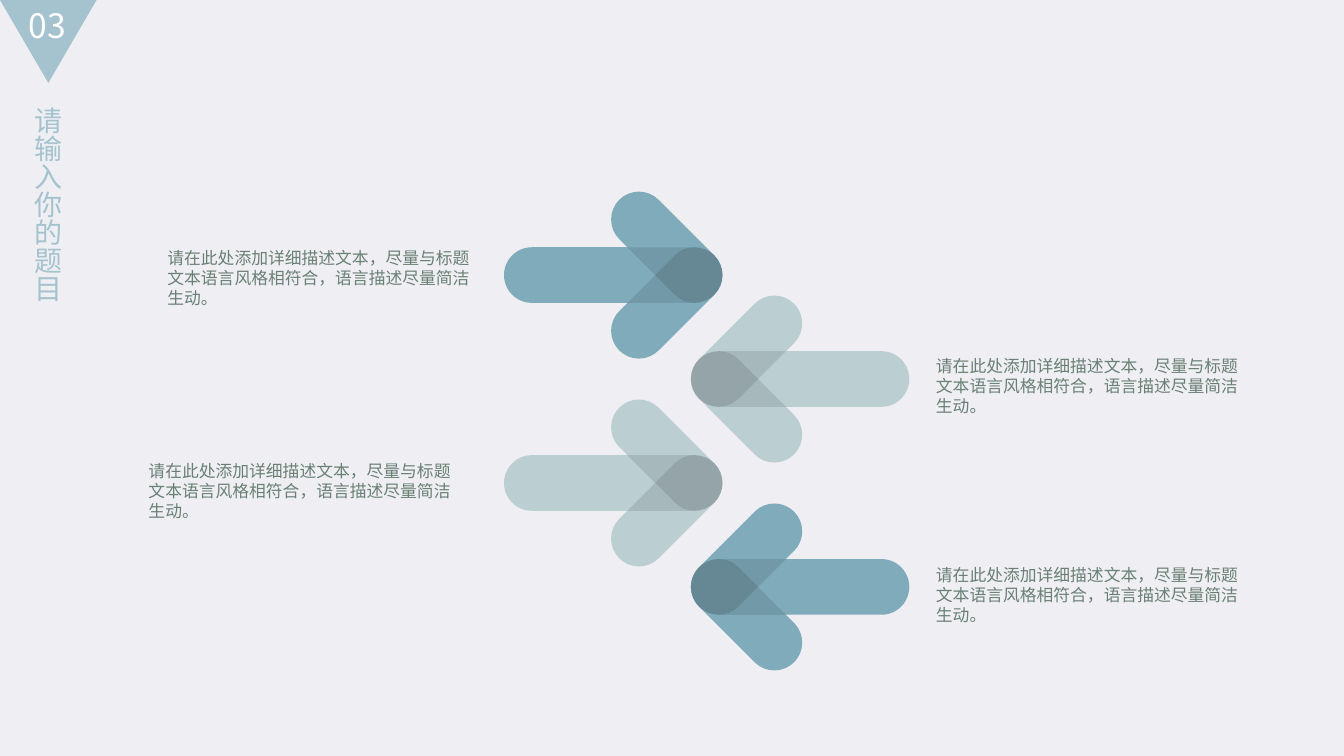
"""Build a slide with four interlocking arrows, each with a description."""
from dataclasses import dataclass
from math import cos, radians, sin, sqrt, tan

from lxml.etree import SubElement
from pptx import Presentation
from pptx.dml.color import RGBColor
from pptx.enum.shapes import MSO_SHAPE as Preset
from pptx.enum.text import MSO_ANCHOR as Anchor
from pptx.enum.text import MSO_AUTO_SIZE as AutoSize
from pptx.enum.text import PP_ALIGN as Align
from pptx.oxml.ns import qn
from pptx.shapes.base import BaseShape
from pptx.shapes.group import GroupShape
from pptx.slide import Slide
from pptx.text.text import TextFrame
from pptx.util import Pt

EMU_PER_PX = 9525
RADIUS = 26.5
BAR_LENGTH = 208
ARM_REACH = 53
NOTCH = -RADIUS * (1 + sqrt(2))
ARROW_STEP = 99
DESCRIPTION = "请在此处添加详细描述文本，尽量与标题文本语言风格相符合，语言描述尽量简洁生动。"

Point = tuple[float, float]


@dataclass(frozen=True)
class Theme:
    background: str = "EEEEF3"
    heading: str = "A5C3CE"
    number: str = "FFFFFF"
    body: str = "6A8074"
    deep: str = "80ABBA"
    pale: str = "BBCED2"
    shade: str = "000000"
    font: str = "Noto Sans CJK SC"
    number_size: int = 24
    heading_size: int = 20
    body_size: int = 12


@dataclass(frozen=True)
class Arrow:
    tip: int
    direction: int
    color: str
    text_left: int
    text_top: int


@dataclass(frozen=True)
class Node:
    at: Point
    controls: tuple[Point, ...] = ()


THEME = Theme()
ARROWS = [
    Arrow(688, 1, THEME.deep, 150, 231),
    Arrow(658, -1, THEME.pale, 882, 334),
    Arrow(688, 1, THEME.pale, 132, 434),
    Arrow(658, -1, THEME.deep, 882, 533),
]


def px(value: float) -> int:
    return round(value * EMU_PER_PX)


def paint(shape: BaseShape, color: str, opacity: int = 100) -> None:
    shape.shadow.inherit = False
    shape.fill.solid()
    shape.fill.fore_color.rgb = RGBColor.from_string(color)
    shape.line.fill.background()
    if opacity < 100:
        tint = shape.fill._xPr.find(qn("a:solidFill"))[0]
        SubElement(tint, qn("a:alpha"), val=str(opacity * 1000))


def write(frame: TextFrame, text: str, size: int, color: str) -> None:
    frame.text = text
    paragraph = frame.paragraphs[0]
    paragraph.alignment = Align.LEFT
    paragraph.font.size = Pt(size)
    paragraph.font.name = THEME.font
    paragraph.font.color.rgb = RGBColor.from_string(color)
    defaults = paragraph._p.pPr.find(qn("a:defRPr"))
    SubElement(defaults, qn("a:ea"), typeface=THEME.font)


def add_text(slide: Slide, left: int, top: int, width: int, height: int,
             text: str, size: int, color: str) -> None:
    frame = slide.shapes.add_textbox(px(left), px(top), px(width), px(height)).text_frame
    frame.word_wrap = True
    frame.auto_size = AutoSize.SHAPE_TO_FIT_TEXT
    write(frame, text, size, color)


def arc(x: float, y: float, start: int, end: int) -> list[Node]:
    step = 45 if end > start else -45
    pull = 4 / 3 * tan(radians(step / 4))

    def on_circle(angle: int, lean: float = 0) -> Point:
        c, s = cos(radians(angle)), sin(radians(angle))
        return x + RADIUS * (c - lean * s), y + RADIUS * (s + lean * c)

    curve = [Node(on_circle(a), (on_circle(a - step, pull), on_circle(a, -pull)))
             for a in range(start + step, end + step, step)]
    return [Node(on_circle(start))] + curve


def add_outline(group: GroupShape, arrow: Arrow, middle: int, nodes: list[Node],
                color: str, opacity: int = 100) -> None:
    def place(point: Point) -> tuple[int, int]:
        return px(arrow.tip + arrow.direction * point[0]), px(middle + point[1])

    corners = [place(node.at) for node in nodes]
    builder = group.shapes.build_freeform(*corners[0])
    builder.add_line_segments(corners[1:])
    outline = builder.convert_to_shape()
    left, top = (min(values) for values in zip(*corners))
    lines = list(outline._element.iter(qn("a:lnTo")))
    for node, line in zip(nodes[1:], lines):
        if node.controls:
            curve = line.getparent().makeelement(qn("a:cubicBezTo"))
            for x, y in map(place, (*node.controls, node.at)):
                SubElement(curve, qn("a:pt"), x=str(x - left), y=str(y - top))
            line.getparent().replace(line, curve)
    paint(outline, color, opacity)


def add_arrow(slide: Slide, arrow: Arrow, middle: int) -> None:
    group = slide.shapes.add_group_shape()
    left = arrow.tip - BAR_LENGTH if arrow.direction > 0 else arrow.tip
    bar = group.shapes.add_shape(Preset.ROUNDED_RECTANGLE, px(left), px(middle - RADIUS),
                                 px(BAR_LENGTH), px(2 * RADIUS))
    bar.adjustments[0] = 0.5
    paint(bar, arrow.color)

    arm_end = -RADIUS - ARM_REACH
    notch = [Node((NOTCH, 0))]
    chevron = (arc(-RADIUS, 0, -45, 45) + arc(arm_end, ARM_REACH, 45, 225)
               + notch + arc(arm_end, -ARM_REACH, 135, 315))
    add_outline(group, arrow, middle, chevron, arrow.color)
    add_outline(group, arrow, middle, arc(-RADIUS, 0, -135, 135) + notch, THEME.shade, 20)
    for side in (-1, 1):
        wedge = (arc(-RADIUS, 0, side * 90, side * 135) + notch
                 + [Node((NOTCH - RADIUS, side * RADIUS))])
        add_outline(group, arrow, middle, wedge, THEME.shade, 10)


def add_heading(slide: Slide) -> None:
    marker = slide.shapes.add_shape(Preset.ISOSCELES_TRIANGLE, 0, 0, px(92), px(79))
    marker.rotation = 180
    paint(marker, THEME.heading)
    add_text(slide, 18, 0, 67, 48, "03", THEME.number_size, THEME.number)

    title = slide.shapes.title
    title.left, title.top, title.width, title.height = px(19), px(97), px(52), px(198)
    frame = title.text_frame
    frame.word_wrap = False
    frame.auto_size = AutoSize.SHAPE_TO_FIT_TEXT
    frame.vertical_anchor = Anchor.TOP
    frame._txBody.bodyPr.set("vert", "eaVert")
    write(frame, "请输入你的题目", THEME.heading_size, THEME.heading)


def main() -> None:
    deck = Presentation()
    deck.slide_width, deck.slide_height = px(1280), px(720)
    slide = deck.slides.add_slide(deck.slide_layouts[5])
    slide.background.fill.solid()
    slide.background.fill.fore_color.rgb = RGBColor.from_string(THEME.background)
    add_heading(slide)
    for row, arrow in enumerate(ARROWS):
        add_arrow(slide, arrow, 262 + row * ARROW_STEP)
        add_text(slide, arrow.text_left, arrow.text_top, 315, 68,
                 DESCRIPTION, THEME.body_size, THEME.body)
    deck.save("out.pptx")


if __name__ == "__main__":
    main()
